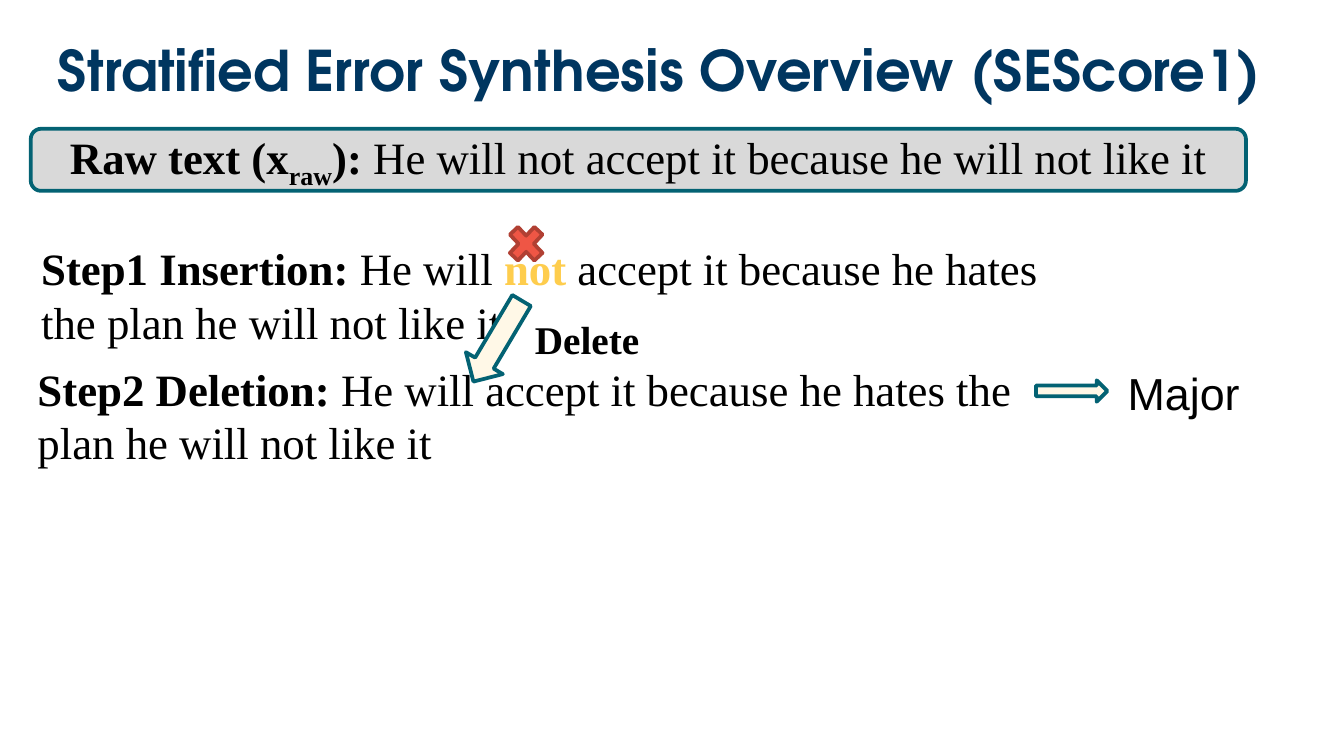
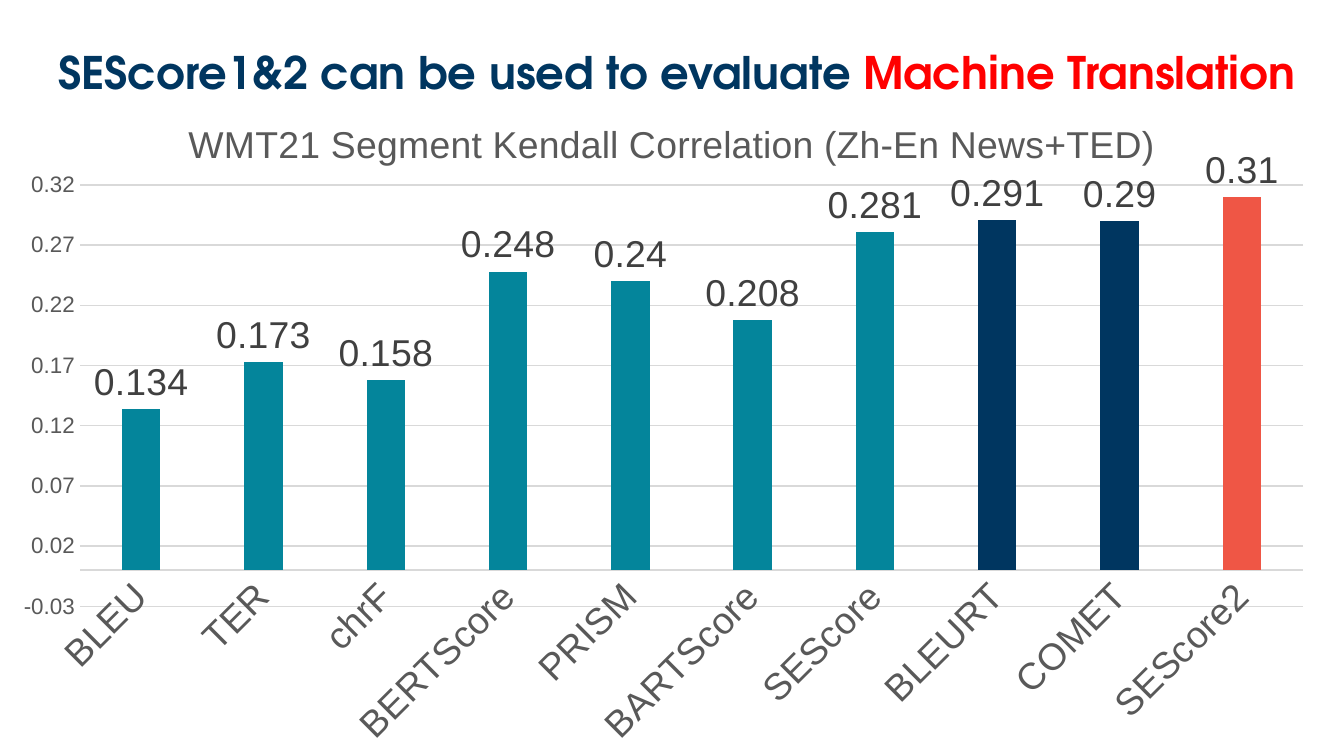
"""Build two slides on stratified error synthesis and its evaluation scores."""
from dataclasses import dataclass

from pptx import Presentation
from pptx.chart.chart import Chart
from pptx.chart.data import CategoryChartData
from pptx.dml.color import RGBColor
from pptx.enum.chart import XL_CHART_TYPE, XL_LABEL_POSITION, XL_TICK_MARK
from pptx.enum.shapes import MSO_SHAPE
from pptx.enum.text import MSO_ANCHOR, MSO_AUTO_SIZE, PP_ALIGN
from pptx.oxml import parse_xml
from pptx.oxml.ns import nsdecls
from pptx.slide import Slide
from pptx.text.text import Font, TextFrame
from pptx.util import Pt

COLUMNS = XL_CHART_TYPE.COLUMN_CLUSTERED
OUTSIDE_END = XL_LABEL_POSITION.OUTSIDE_END
NO_TICK = XL_TICK_MARK.NONE
ROUNDED, CROSS, ARROW = (
    MSO_SHAPE.ROUNDED_RECTANGLE, MSO_SHAPE.MATH_MULTIPLY, MSO_SHAPE.RIGHT_ARROW)
MIDDLE = MSO_ANCHOR.MIDDLE
GROW = MSO_AUTO_SIZE.SHAPE_TO_FIT_TEXT
LEFT, CENTER = PP_ALIGN.LEFT, PP_ALIGN.CENTER

COLORS = {
    "black": "000000", "navy": "003660", "red": "FF0000", "gold": "FECD4D",
    "teal": "036273", "column": "04859B", "coral": "EF5645", "brick": "B14033",
    "cream": "FFF8E7", "gray": "D9D9D9", "axis": "595959", "label": "404040",
}
TITLE_FONT, SERIF, SANS = "TeX Gyre Adventor", "Times New Roman", "Arial"

Bounds = tuple[float, float, float, float]


@dataclass(frozen=True)
class Span:
    text: str
    bold: bool = False
    color: str | None = None
    baseline: int = 0


@dataclass(frozen=True)
class Label:
    bounds: Bounds
    spans: tuple[Span, ...]
    size: float = 24
    font: str = SERIF


@dataclass(frozen=True)
class Block:
    bounds: Bounds
    kind: MSO_SHAPE
    fill: str = "cream"
    line: str = "teal"
    rotation: float = 0
    spans: tuple[Span, ...] = ()


@dataclass(frozen=True)
class Score:
    metric: str
    value: float
    color: str = "column"


RAW_TEXT = (
    Span("Raw text (x", True),
    Span("raw", True, baseline=-25000),
    Span("): ", True),
    Span("He will not accept it because he will not like it"),
)
INSERTION = (
    Span("Step1 Insertion: ", True),
    Span("He will "),
    Span("not", True, "gold"),
    Span(" accept it because he hates the plan he will not like it"),
)
DELETION = (
    Span("Step2 Deletion: ", True),
    Span("He will accept it because he hates the plan he will not like it"),
)
SYNTHESIS_STEPS = (
    Block((16.5, 69, 651, 33.25), ROUNDED, "gray", spans=RAW_TEXT),
    Label((15, 125.25, 551, 65.5), INSERTION),
    Label((279.5, 165.5, 161, 32.5), (Span("Delete", True),), 21),
    Label((13, 190, 554.5, 65.5), DELETION),
    Block((269.25, 117.25, 25.25, 26.75), CROSS, "coral", "brick"),
    Block((241.25, 171.25, 50.5, 23), ARROW, rotation=120.7),
    Block((555, 203.75, 38.25, 11.5), ARROW),
    Label((597, 192.25, 103, 36), (Span("Major"),), font=SANS),
)
SCORES = (
    Score("BLEU", 0.134), Score("TER", 0.173), Score("chrF", 0.158),
    Score("BERTScore", 0.248), Score("PRISM", 0.24), Score("BARTScore", 0.208),
    Score("SEScore", 0.281), Score("BLEURT", 0.291, "navy"),
    Score("COMET", 0.29, "navy"), Score("SEScore2", 0.31, "coral"),
)
PLOT_AREA = {"x": 0.047, "y": 0.136, "w": 0.936, "h": 0.622}


def rgb(name: str) -> RGBColor:
    """Return a named colour."""
    return RGBColor.from_string(COLORS[name])


def set_font(font: Font, name: str, size: float, color: str) -> None:
    """Give a font its face, size and colour."""
    font.name, font.size = name, Pt(size)
    font.color.rgb = rgb(color)


def write(frame: TextFrame, spans: tuple[Span, ...], name: str = SERIF,
          size: float = 24, color: str = "black", align: PP_ALIGN = LEFT,
          spacing: float | None = None) -> None:
    """Fill a text frame with one paragraph of spans."""
    frame.word_wrap = True
    para = frame.paragraphs[0]
    para.alignment = align
    para.line_spacing = spacing
    set_font(para.font, name, size, color)
    for span in spans:
        run = para.add_run()
        run.text = span.text
        run.font.bold = span.bold
        if span.color:
            run.font.color.rgb = rgb(span.color)
        if span.baseline:
            run.font.size = Pt(size)
            run._r.get_or_add_rPr().set("baseline", str(span.baseline))


def add_title(page: Slide, bounds: Bounds, size: float, *spans: Span) -> None:
    """Add the slide title."""
    box = page.shapes.add_textbox(*map(Pt, bounds))
    write(box.text_frame, spans, TITLE_FONT, size, "navy", spacing=0.9)


def add_label(page: Slide, label: Label) -> None:
    """Add a text box that grows with its text."""
    box = page.shapes.add_textbox(*map(Pt, label.bounds))
    write(box.text_frame, label.spans, label.font, label.size)
    box.text_frame.auto_size = GROW


def add_block(page: Slide, block: Block) -> None:
    """Add a filled and outlined shape."""
    shape = page.shapes.add_shape(block.kind, *map(Pt, block.bounds))
    shape.shadow.inherit = False
    shape.rotation = block.rotation
    shape.fill.solid()
    shape.fill.fore_color.rgb = rgb(block.fill)
    shape.line.color.rgb = rgb(block.line)
    shape.line.width = Pt(2)
    if block.spans:
        shape.text_frame.vertical_anchor = MIDDLE
        write(shape.text_frame, block.spans, align=CENTER)


def place_plot(chart: Chart) -> None:
    """Fix the inner plot area and slant the category labels."""
    modes = "".join(f'<c:{side}Mode val="edge"/>' for side in "xy")
    sizes = "".join(f'<c:{key} val="{part}"/>' for key, part in PLOT_AREA.items())
    plot_area = chart.element.xpath("c:chart/c:plotArea")[0]
    for layout in plot_area.xpath("c:layout"):
        plot_area.remove(layout)
    plot_area.insert(0, parse_xml(
        f'<c:layout {nsdecls("c")}><c:manualLayout><c:layoutTarget val="inner"/>'
        f"{modes}{sizes}</c:manualLayout></c:layout>"))
    slant = plot_area.xpath("c:catAx/c:txPr/a:bodyPr")[0]
    slant.set("rot", "-2700000")
    slant.set("vert", "horz")


def style_axes(chart: Chart) -> None:
    """Set scale, grid, lines and labels of both axes."""
    categories, values = chart.category_axis, chart.value_axis
    for axis, size in ((categories, 20), (values, 12)):
        axis.major_tick_mark = axis.minor_tick_mark = NO_TICK
        set_font(axis.tick_labels.font, SANS, size, "axis")
    values.minimum_scale, values.maximum_scale = -0.03, 0.32
    values.major_unit = 0.05
    values.has_major_gridlines = True
    values.format.line.fill.background()
    for line in (categories.format.line, values.major_gridlines.format.line):
        line.color.rgb = rgb("gray")
        line.width = Pt(0.75)


def add_score_chart(page: Slide, bounds: Bounds, title: str) -> None:
    """Add the column chart of metric scores."""
    data = CategoryChartData()
    data.categories = [score.metric for score in SCORES]
    data.add_series("Series 1", [score.value for score in SCORES])
    chart = page.shapes.add_chart(COLUMNS, *map(Pt, bounds), data).chart
    set_font(chart.font, SANS, 10, "black")
    chart.has_legend = False
    chart.has_title = True
    heading = chart.chart_title.text_frame.paragraphs[0]
    heading.text = title
    set_font(heading.font, SANS, 20, "axis")
    heading.font.bold = False

    plot = chart.plots[0]
    plot.vary_by_categories = False
    plot.gap_width, plot.overlap = 219, -27
    series = plot.series[0]
    series.format.fill.solid()
    series.format.fill.fore_color.rgb = rgb("column")
    for index, score in enumerate(SCORES):
        if score.color != "column":
            fill = series.points[index].format.fill
            fill.solid()
            fill.fore_color.rgb = rgb(score.color)
    labels = series.data_labels
    labels.show_value = True
    labels.position = OUTSIDE_END
    set_font(labels.font, SANS, 20, "label")
    style_axes(chart)
    place_plot(chart)


def main() -> None:
    """Build and save the deck."""
    deck = Presentation()
    deck.slide_width, deck.slide_height = Pt(720), Pt(405)
    blank = deck.slide_layouts[6]

    page = deck.slides.add_slide(blank)
    add_title(page, (24, 19.5, 687, 35.25), 30,
              Span("Stratified Error Synthesis Overview (SEScore1)", True))
    for part in SYNTHESIS_STEPS:
        if isinstance(part, Label):
            add_label(page, part)
        else:
            add_block(page, part)

    page = deck.slides.add_slide(blank)
    add_title(page, (24, 23.75, 719, 35.25), 24,
              Span("SEScore1&2 can be used to evaluate ", True),
              Span("Machine Translation", True, "red"))
    add_score_chart(page, (10, 49.75, 700, 363),
                    "WMT21 Segment Kendall Correlation (Zh-En News+TED)")
    deck.save("out.pptx")


if __name__ == "__main__":
    main()
